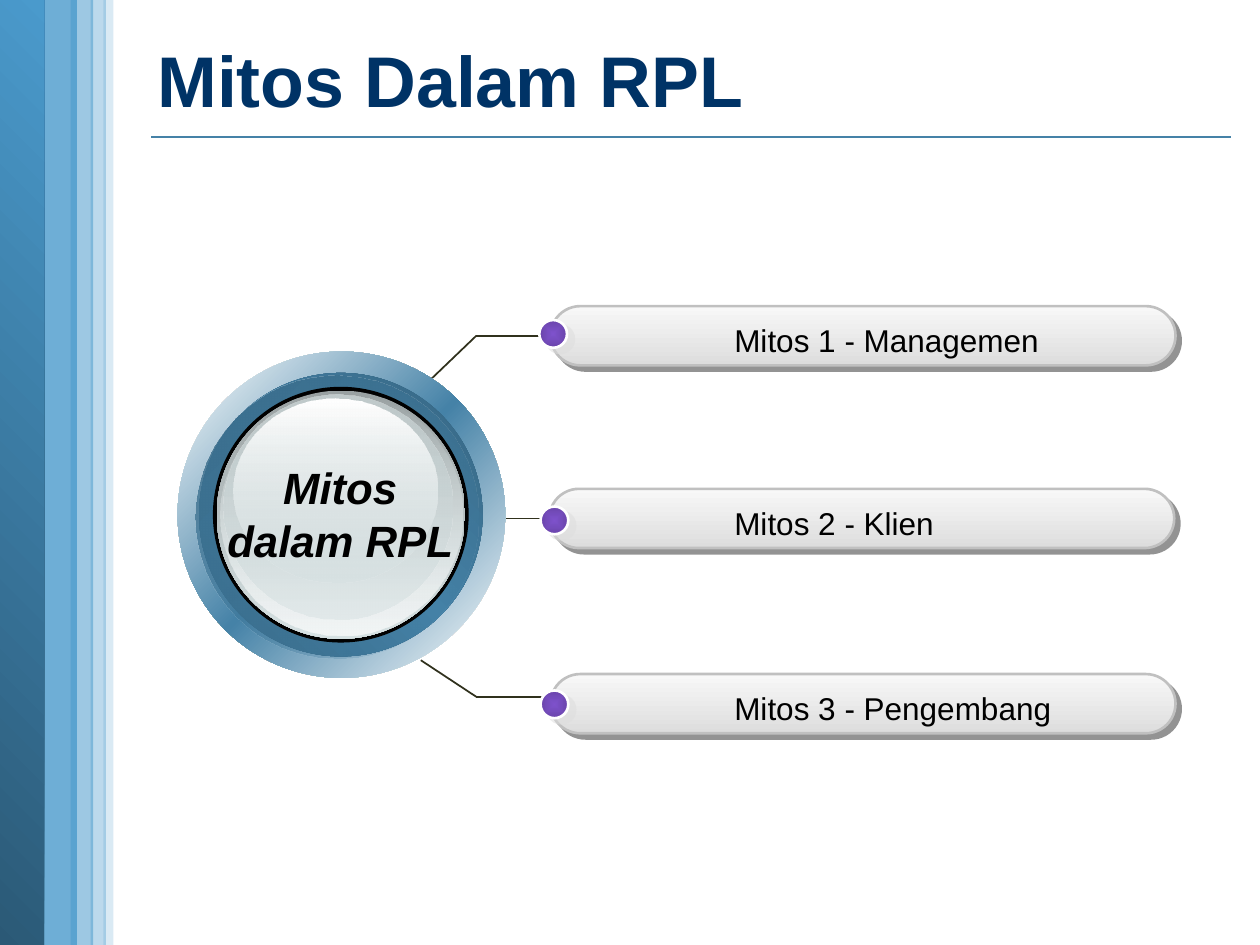
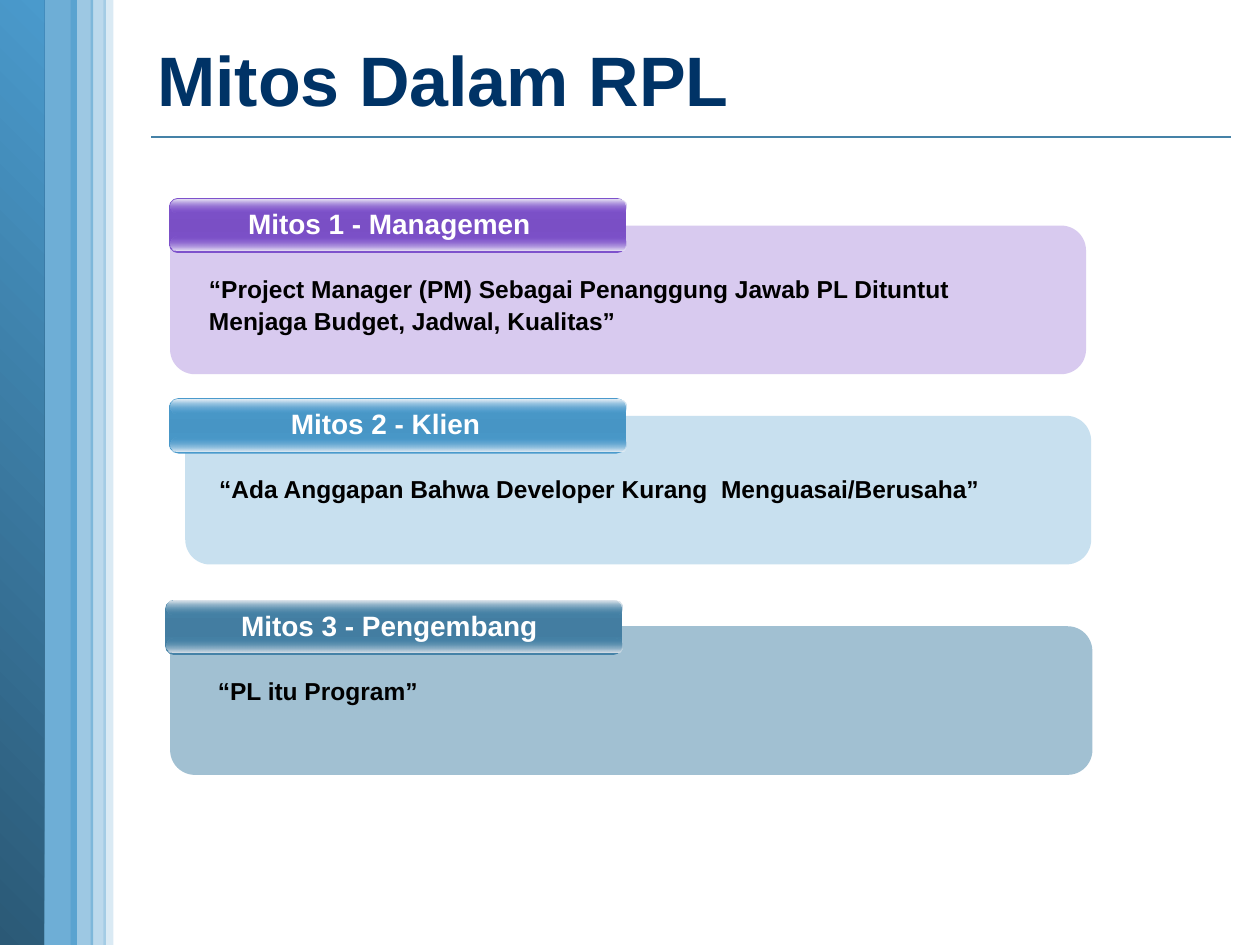
from lxml import etree
from pptx import Presentation
from pptx import util as u
from pptx.dml.color import RGBColor
from pptx.enum import shapes as es, text as et
from pptx.oxml.ns import qn

FONT = "Arial"
HEX = {
    "white": "FFFFFF", "black": "000000", "title": "003366",
    "blue": "4A9ACC", "steel": "4582A7", "violet": "7E52CC",
    "night": "2B5976", "wire": "30311D", "plum": "6A45AB",
    "pale": "F8F8F8", "grey": "DDDDDD", "edge": "C0C0C0", "shade": "292929",
    "deep": "356480", "rim": "396B89", "ash": "99A1A2", "mist": "D6E1E2",
    "fog": "F2F5F5", "haze": "C1CBCC",
    "blue mid": "4795C5", "steel mid": "437DA1", "violet mid": "7A4FC5",
    "blue top": "EEF3F8", "blue base": "EAF0F6",
    "steel top": "EAEDF1", "steel base": "E2E7ED",
    "violet top": "EAE7F5", "violet base": "ECE9F6",
}
KIND = es.MSO_SHAPE
MID = et.PP_ALIGN.CENTER
BAR_H = 0.47


def rgb(name):
    return RGBColor.from_string(HEX[name])


def node(parent, tag, **attrs):
    return etree.SubElement(parent, qn("a:" + tag),
                            {k: str(v) for k, v in attrs.items()})


def tint(parent, name, alpha=100):
    color = node(parent, "srgbClr", val=HEX[name])
    if alpha < 100:
        node(color, "alpha", val=alpha * 1000)


def as_pair(color):
    return color if isinstance(color, tuple) else (color, 100)


def paint(shape, fill, angle):
    """Fill with a name, a (name, alpha) pair or a list of evenly spaced stops.

    A list without an angle runs from the centre outwards.
    """
    shape.fill.background()
    old = shape._element.spPr.find(qn("a:noFill"))
    if isinstance(fill, list):
        new = etree.Element(qn("a:gradFill"), rotWithShape="1")
        stops = node(new, "gsLst")
        for i, stop in enumerate(fill):
            pos = 100000 * i // (len(fill) - 1)
            tint(node(stops, "gs", pos=pos), *as_pair(stop))
        if angle is None:
            way = node(new, "path", path="shape")
            node(way, "fillToRect", l=50000, t=50000, r=50000, b=50000)
        else:
            node(new, "lin", ang=angle * 60000, scaled=1)
    else:
        new = etree.Element(qn("a:solidFill"))
        tint(new, *as_pair(fill))
    old.getparent().replace(old, new)


def form(slide, kind, box, fill, angle=None, edge=None, bend=None, shade=None):
    """Add a preset shape; shade is (colour, distance in points, direction)."""
    shape = slide.shapes.add_shape(kind, *map(u.Inches, box))
    if bend is not None:
        shape.adjustments[0] = bend
    paint(shape, fill, angle)
    if edge:
        shape.line.color.rgb = rgb(edge)
        shape.line.width = u.Pt(1.5)
    else:
        shape.line.fill.background()
    shape.shadow.inherit = False
    if shade:
        name, dist, way = shade
        effects = shape._element.spPr.find(qn("a:effectLst"))
        drop = node(effects, "outerShdw", dist=u.Pt(dist), dir=way * 60000,
                    algn="ctr", rotWithShape=0)
        tint(drop, name, 50)
    return shape


def line(slide, start, end, color, join=None):
    ends = map(u.Inches, (*start, *end))
    wire = slide.shapes.add_connector(es.MSO_CONNECTOR.STRAIGHT, *ends)
    if join is not None:
        wire.end_connect(join, 1)
    wire.line.color.rgb = rgb(color)
    wire.line.width = u.Pt(1)
    node(wire._element.spPr, "effectLst")


def write(slide, words, box, size, color="black", bold=False, slant=False,
          align=None, wrap=True, anchor=et.MSO_ANCHOR.TOP, lead=None):
    frame = slide.shapes.add_textbox(*map(u.Inches, box)).text_frame
    frame.word_wrap = wrap
    frame.vertical_anchor = anchor
    para = frame.paragraphs[0]
    para.alignment = align
    para.line_spacing = lead
    run = para.add_run()
    run.text = words
    font = run.font
    font.name, font.size = FONT, u.Pt(size)
    font.bold, font.italic = bold, slant
    font.color.rgb = rgb(color)


def start(deck, title, size):
    """Add a slide with the side bands, the rule and the title."""
    slide = deck.slides.add_slide(deck.slide_layouts[6])
    line(slide, (1.2, 1.09), (9.77, 1.09), "steel")
    bands = [
        (0.3, 0, 0.31, ("blue", 80)),
        (-0.01, 0, 0.36, ["night", "blue"]),
        (0.82, -0.02, 0.08, ("blue", 20)),
        (0.56, 0, 0.18, ("blue", 54)),
        (0.72, 0, 0.12, ("blue", 37)),
    ]
    for left, top, width, fill in bands:
        form(slide, KIND.RECTANGLE, (left, top, width, 7.52), fill, 315)
    write(slide, title, (1.15, 0.07, 8.7, 1.11), size, "title", bold=True,
          anchor=et.MSO_ANCHOR.MIDDLE)
    return slide


def add_bar(slide, words, left, top):
    bar = form(slide, KIND.ROUNDED_RECTANGLE, (left, top, 4.96, BAR_H),
               ["pale", "grey"], 90, "edge", 0.5, ("shade", 4.2, 45))
    write(slide, words, (5.73, top + 0.07, 3.3, 0.4), 18)
    return bar


def add_dot(slide, left, top):
    form(slide, KIND.OVAL, (left, top, 0.22, 0.22), ["violet", "plum"],
         edge="white", shade=("grey", 5, 37))


def add_hub(slide, words):
    """Stack the discs of the glass button and label it."""
    discs = [
        (1.41, 2.79, 2.6, 2.59, ["white", "steel", "white"], 45),
        (1.58, 2.96, 2.25, 2.25, ["deep", "steel", "deep"], 315),
        (1.55, 2.98, 2.25, 2.25, ["rim", ("steel", 0)], 45),
        (1.69, 3.07, 2.03, 2.03, "black", None),
        (1.72, 3.1, 1.97, 1.97, ["ash", "mist"], 90),
        (1.75, 3.12, 1.92, 1.92, [("mist", 0), "fog"], 90),
        (1.77, 3.13, 1.82, 1.79, ["haze", ("mist", 48)], 90),
        (1.85, 3.16, 1.62, 1.46, ["white", ("mist", 38)], 90),
    ]
    for *box, fill, angle in discs:
        form(slide, KIND.OVAL, box, fill, angle)
    write(slide, words, (1.7, 3.61, 2, 0.94), 25, bold=True, slant=True,
          align=MID)


def add_tab(slide, words, left, top, hue, center):
    """Add a glossy heading, light along its upper and lower edges."""
    form(slide, KIND.ROUNDED_RECTANGLE, (left, top, 3.63, 0.44),
         [hue, hue + " mid", hue], 90, bend=0.175)
    clear = (hue, 0)
    for drop, fill in ((0.31, [clear, hue + " base"]),
                       (0.01, [hue + " top", clear])):
        form(slide, KIND.ROUNDED_RECTANGLE,
             (left + 0.01, top + drop, 3.62, 0.11), fill, 90, bend=0.5)
    write(slide, words, (center - 1.5, top + 0.02, 3, 0.37), 16, "white",
          bold=True, align=MID)


def draw_map(deck):
    slide = start(deck, "Mitos Dalam RPL", 41)
    fork = 3.78
    rows = [
        # words, bar left and top, dot left and top, hub end, wire height
        # (None for the middle of the bar)
        ("Mitos 1 - Managemen", 4.37, 2.43, 4.28, 2.54, (3.41, 3.02), None),
        ("Mitos 2 - Klien", 4.36, 3.88, 4.29, 4.02, None, None),
        ("Mitos 3 - Pengembang", 4.37, 5.35, 4.29, 5.48, (3.34, 5.24), 5.53),
    ]
    for words, left, top, dot_x, dot_y, foot, level in rows:
        bar = add_bar(slide, words, left, top)
        join = bar if level is None else None
        level = level or top + BAR_H / 2
        line(slide, (fork, level), (left, level), "wire", join)
        if foot:
            line(slide, foot, (fork, level), "wire")
        add_dot(slide, dot_x, dot_y)
    add_hub(slide, "Mitos dalam RPL")


def draw_myths(deck):
    slide = start(deck, "Mitos Dalam RPL", 40)
    myths = [
        # heading, its left, top, hue and centre; panel; quote and its place
        ("Mitos 1 - Managemen", 1.34, 1.57, "violet", 3.09,
         (1.35, 1.79, 7.27, 1.18), 30,
         "“Project Manager (PM) Sebagai Penanggung Jawab PL Dituntut "
         "Menjaga Budget, Jadwal, Kualitas”", 1.56, 2.1),
        ("Mitos 2 - Klien", 1.34, 3.16, "blue", 3.06,
         (1.47, 3.3, 7.19, 1.18), 30,
         "“Ada Anggapan Bahwa Developer Kurang  Menguasai/Berusaha”",
         1.64, 3.69),
        ("Mitos 3 - Pengembang", 1.31, 4.76, "steel", 3.09,
         (1.35, 4.97, 7.32, 1.18), 50,
         "“PL itu Program”", 1.63, 5.29),
    ]
    for head, left, top, hue, center, panel, alpha, quote, x, y in myths:
        form(slide, KIND.ROUNDED_RECTANGLE, panel, (hue, alpha), bend=0.167)
        add_tab(slide, head, left, top, hue, center)
        write(slide, quote, (x, y, 6.32, 0.34), 14, bold=True, lead=1.1)


def main():
    deck = Presentation()
    deck.slide_width, deck.slide_height = u.Inches(10), u.Inches(7.5)
    draw_map(deck)
    draw_myths(deck)
    deck.save("out.pptx")


if __name__ == "__main__":
    main()
